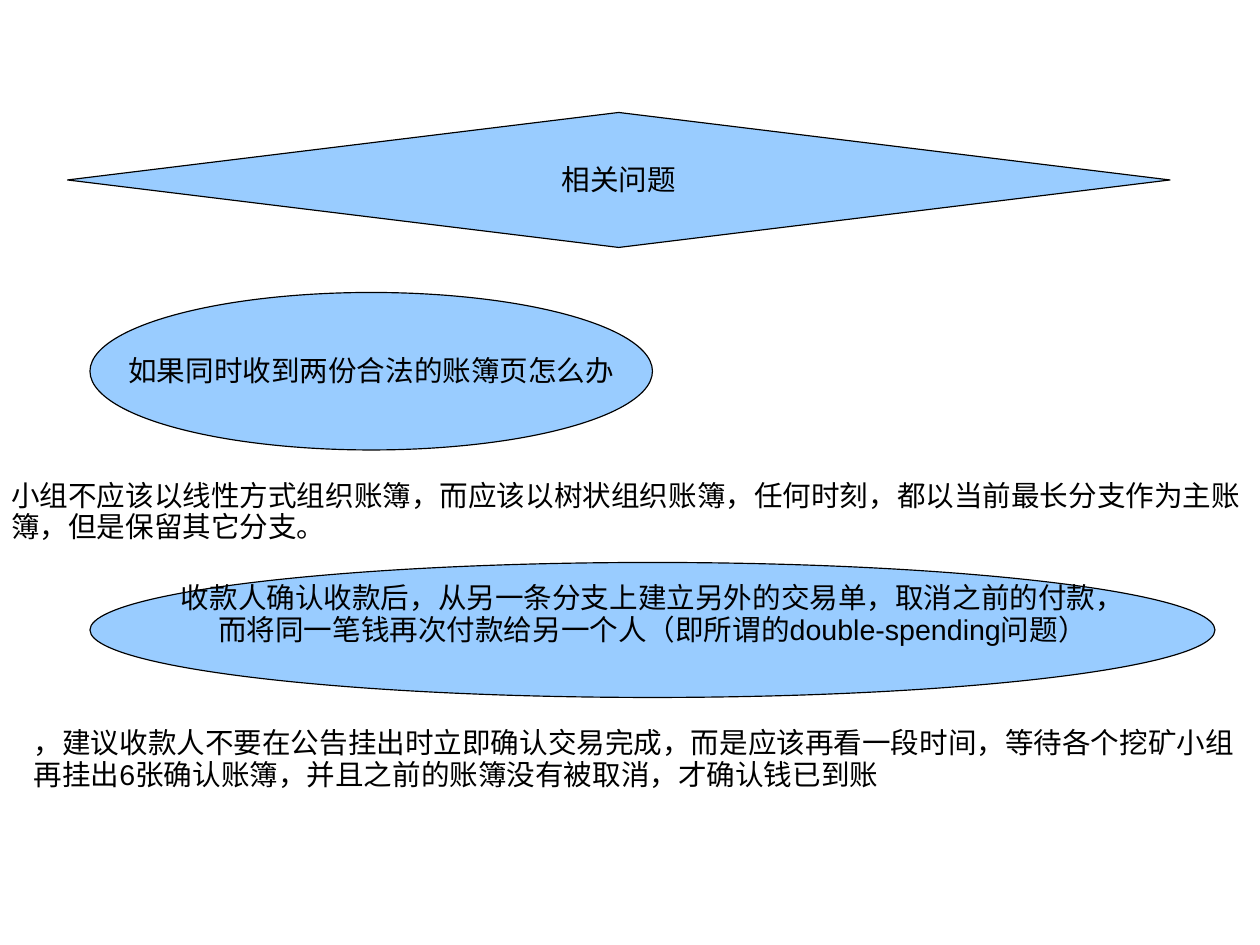
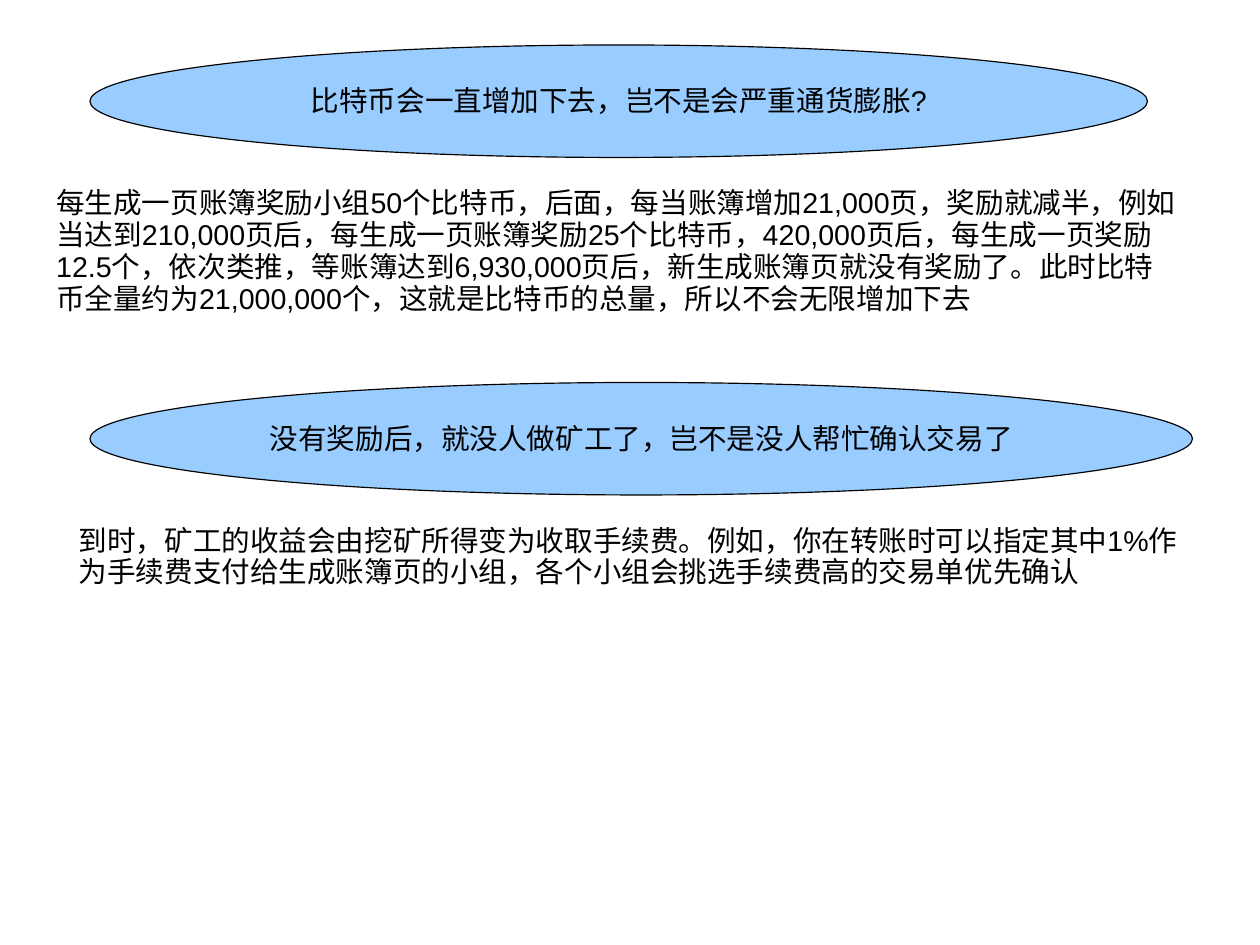
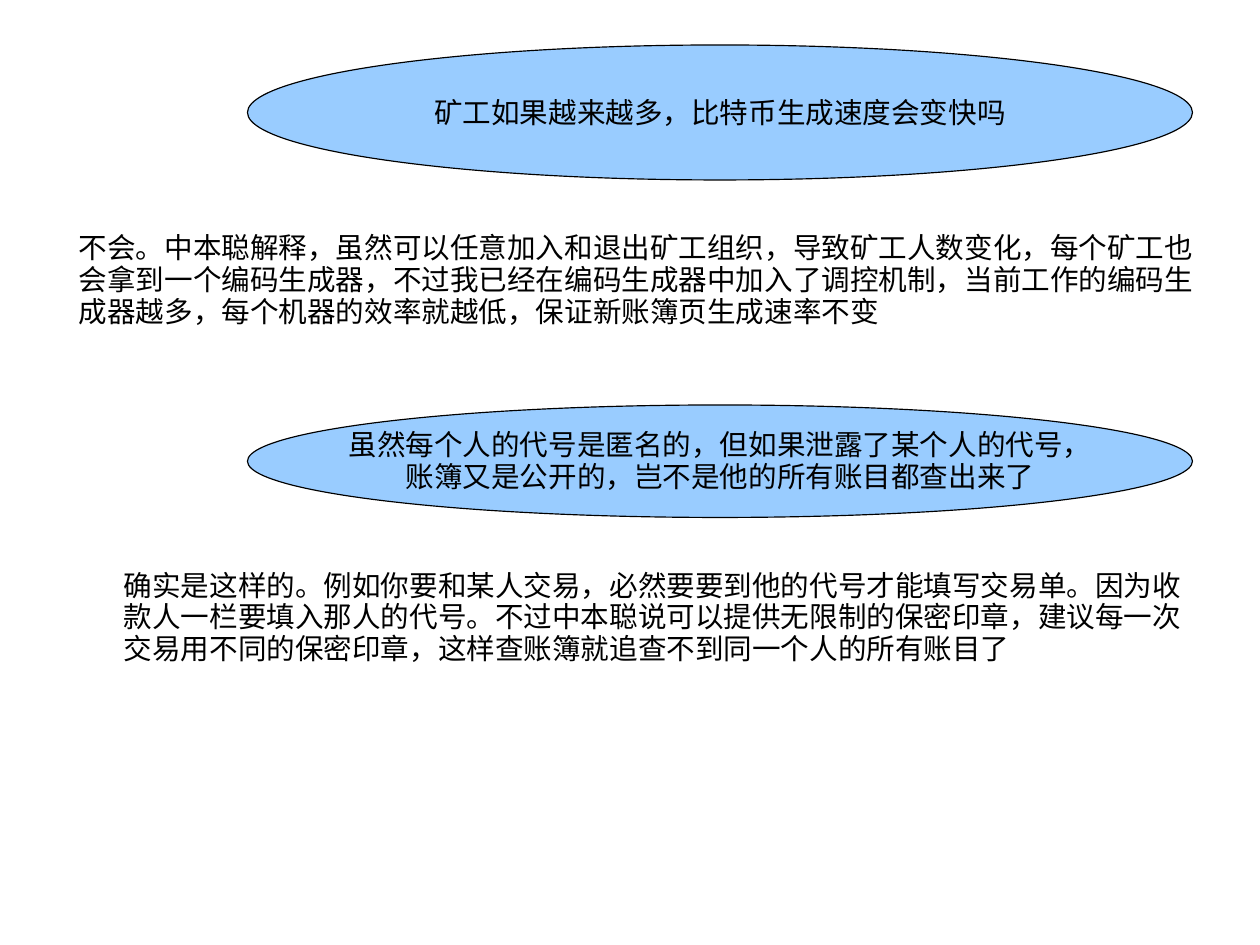
from pptx import Presentation
from pptx.dml.color import RGBColor
from pptx.enum.lang import MSO_LANGUAGE_ID
from pptx.enum.shapes import MSO_SHAPE
from pptx.enum.text import MSO_ANCHOR, PP_ALIGN
from pptx.util import Cm, Pt

SKY = RGBColor(0x99, 0xCC, 0xFF)
BLACK = RGBColor(0x00, 0x00, 0x00)
FONT = "Arial"
BLANK_LAYOUT = 6


def write(shape, text, align=PP_ALIGN.LEFT, anchor=MSO_ANCHOR.TOP, wrap=True,
          top=0.18, bottom=0.13):
    """Fill a shape with text, one paragraph per line; insets are in cm."""
    frame = shape.text_frame
    frame.word_wrap = wrap
    frame.vertical_anchor = anchor
    frame.margin_left = frame.margin_right = Cm(0.25)
    frame.margin_top, frame.margin_bottom = Cm(top), Cm(bottom)
    for index, line in enumerate(text.split("\n")):
        para = frame.add_paragraph() if index else frame.paragraphs[0]
        para.alignment = align
        para.line_spacing = 0.93
        span = para.add_run()
        span.text = line
        span.font.name = FONT
        span.font.size = Pt(18)
        span.font.color.rgb = BLACK
        span.font.language_id = MSO_LANGUAGE_ID.SIMPLIFIED_CHINESE


def add_question(page, box, text, outline=MSO_SHAPE.OVAL, **insets):
    shape = page.shapes.add_shape(outline, *map(Cm, box))
    shape.shadow.inherit = False
    shape.fill.solid()
    shape.fill.fore_color.rgb = SKY
    shape.line.color.rgb = BLACK
    shape.line.width = Pt(0.75)
    write(shape, text, align=PP_ALIGN.CENTER, anchor=MSO_ANCHOR.MIDDLE,
          wrap=False, **insets)


def add_answer(page, box, text):
    write(page.shapes.add_textbox(*map(Cm, box)), text)


def add_page(deck):
    return deck.slides.add_slide(deck.slide_layouts[BLANK_LAYOUT])


def build_ledger_page(deck):
    page = add_page(deck)
    add_question(page, (1.5, 2.5, 24.5, 3), "相关问题", outline=MSO_SHAPE.DIAMOND)
    add_question(page, (2, 6.5, 12.5, 3.5), "如果同时收到两份合法的账簿页怎么办")
    add_answer(page, (0, 10.5, 27.81, 6.07),
               "小组不应该以线性方式组织账簿，而应该以树状组织账簿，任何时刻，"
               "都以当前最长分支作为主账簿，但是保留其它分支。")
    add_question(page, (2, 12.5, 25, 3),
                 "收款人确认收款后，从另一条分支上建立另外的交易单，取消之前的付款，\n"
                 "而将同一笔钱再次付款给另一个人（即所谓的double-spending问题）",
                 top=0, bottom=0.66)
    add_answer(page, (0.5, 16, 27.5, 2.8),
               "，建议收款人不要在公告挂出时立即确认交易完成，而是应该再看一段时间，"
               "等待各个挖矿小组再挂出6张确认账簿，并且之前的账簿没有被取消，才确认钱已到账")


def build_reward_page(deck):
    page = add_page(deck)
    add_question(page, (2, 1, 23.5, 2.5),
                 "比特币会一直增加下去，岂不是会严重通货膨胀?")
    add_answer(page, (1, 4, 25.5, 4.5),
               "每生成一页账簿奖励小组50个比特币，后面，每当账簿增加21,000页，奖励就减半，"
               "例如当达到210,000页后，每生成一页账簿奖励25个比特币，420,000页后，"
               "每生成一页奖励12.5个，依次类推，等账簿达到6,930,000页后，"
               "新生成账簿页就没有奖励了。此时比特币全量约为21,000,000个，"
               "这就是比特币的总量，所以不会无限增加下去")
    add_question(page, (2, 8.5, 24.5, 2.5),
                 "没有奖励后，就没人做矿工了，岂不是没人帮忙确认交易了")
    add_answer(page, (1.5, 11.5, 25, 2.8),
               "到时，矿工的收益会由挖矿所得变为收取手续费。例如，你在转账时可以指定其中1%"
               "作为手续费支付给生成账簿页的小组，各个小组会挑选手续费高的交易单优先确认")


def build_privacy_page(deck):
    page = add_page(deck)
    add_question(page, (5.5, 1, 21, 3), "矿工如果越来越多，比特币生成速度会变快吗")
    add_answer(page, (1.5, 5, 25.5, 4.5),
               "不会。中本聪解释，虽然可以任意加入和退出矿工组织，导致矿工人数变化，"
               "每个矿工也会拿到一个编码生成器，不过我已经在编码生成器中加入了调控机制，"
               "当前工作的编码生成器越多，每个机器的效率就越低，保证新账簿页生成速率不变")
    add_question(page, (5.5, 9, 21, 2.5),
                 "虽然每个人的代号是匿名的，但如果泄露了某个人的代号，\n"
                 "账簿又是公开的，岂不是他的所有账目都查出来了")
    add_answer(page, (2.5, 12.5, 24.5, 4.5),
               "确实是这样的。例如你要和某人交易，必然要要到他的代号才能填写交易单。"
               "因为收款人一栏要填入那人的代号。不过中本聪说可以提供无限制的保密印章，"
               "建议每一次交易用不同的保密印章，这样查账簿就追查不到同一个人的所有账目了")


def main():
    deck = Presentation()
    deck.slide_width, deck.slide_height = Cm(28), Cm(21)
    build_ledger_page(deck)
    build_reward_page(deck)
    build_privacy_page(deck)
    deck.save("out.pptx")


if __name__ == "__main__":
    main()
